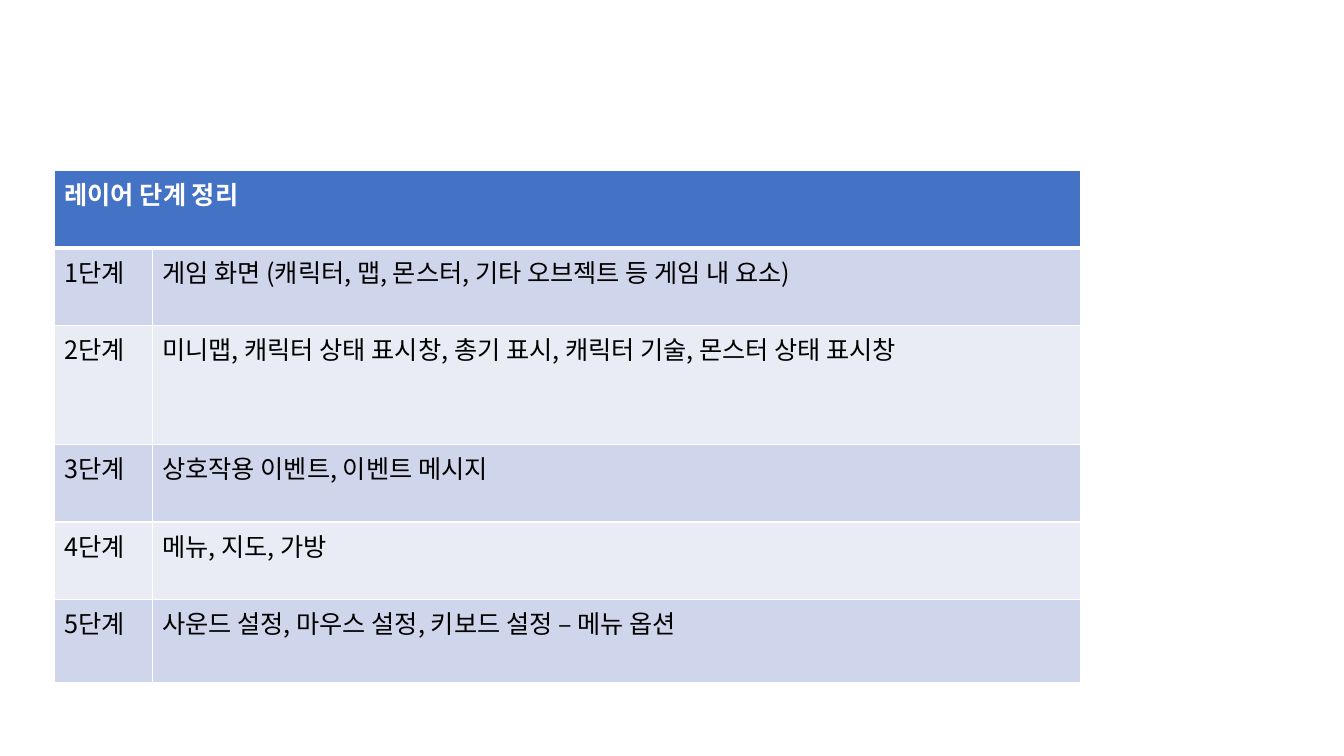
from dataclasses import dataclass

from lxml import etree
from pptx import Presentation
from pptx.dml.color import RGBColor
from pptx.oxml.ns import qn
from pptx.util import Inches, Pt

BLANK_LAYOUT = 6


@dataclass(frozen=True)
class Theme:
    font: str = "Noto Sans CJK KR"
    size: int = 18
    header_fill: str = "4472C4"
    header_text: str = "FFFFFF"
    bands: tuple = ("CFD5EA", "E9EBF5")
    text: str = "000000"
    border: str = "FFFFFF"
    thin: int = 1
    thick: int = 3


THEME = Theme()
HEADING = "레이어 단계 정리"
LAYERS = [
    "게임 화면 (캐릭터, 맵, 몬스터, 기타 오브젝트 등 게임 내 요소)",
    "미니맵, 캐릭터 상태 표시창, 총기 표시, 캐릭터 기술, 몬스터 상태 표시창",
    "상호작용 이벤트, 이벤트 메시지",
    "메뉴, 지도, 가방",
    "사운드 설정, 마우스 설정, 키보드 설정 – 메뉴 옵션",
]
TABLE_BOX = (0.54, 1.69, 10.18, 5.08)
STAGE_WIDTH = 0.97
ROW_HEIGHT = 0.77
TALL_ROWS = {2: 1.18, 5: 0.82}


def set_borders(cell, top, bottom):
    properties = cell._tc.get_or_add_tcPr()
    widths = {"L": THEME.thin, "R": THEME.thin, "T": top, "B": bottom}
    for position, (side, width) in enumerate(widths.items()):
        line = etree.Element(qn(f"a:ln{side}"), w=str(Pt(width)))
        line_fill = etree.SubElement(line, qn("a:solidFill"))
        etree.SubElement(line_fill, qn("a:srgbClr"), val=THEME.border)
        properties.insert(position, line)


def fill_cell(cell, words, fill, color, bold=False):
    cell.fill.solid()
    cell.fill.fore_color.rgb = RGBColor.from_string(fill)
    run = cell.text_frame.paragraphs[0].add_run()
    run.text = words
    run.font.name = THEME.font
    run.font.size = Pt(THEME.size)
    run.font.bold = bold
    run.font.color.rgb = RGBColor.from_string(color)
    etree.SubElement(run.font._element, qn("a:ea"), typeface=THEME.font)


def add_layer_table(slide, box):
    left, top, width, height = map(Inches, box)
    table = slide.shapes.add_table(len(LAYERS) + 1, 2, left, top, width, height).table
    table.columns[0].width = Inches(STAGE_WIDTH)
    table.columns[1].width = width - Inches(STAGE_WIDTH)
    for number, row in enumerate(table.rows):
        row.height = Inches(TALL_ROWS.get(number, ROW_HEIGHT))
        for cell in row.cells:
            set_borders(
                cell,
                THEME.thick if number == 1 else THEME.thin,
                THEME.thick if number == 0 else THEME.thin,
            )

    heading = table.cell(0, 0)
    heading.merge(table.cell(0, 1))
    fill_cell(heading, HEADING, THEME.header_fill, THEME.header_text, bold=True)
    for stage, contents in enumerate(LAYERS, start=1):
        band = THEME.bands[(stage - 1) % len(THEME.bands)]
        for column, words in enumerate((f"{stage}단계", contents)):
            fill_cell(table.cell(stage, column), words, band, THEME.text)


def main():
    presentation = Presentation()
    presentation.slide_width = Inches(13.33)
    presentation.slide_height = Inches(7.5)
    slide = presentation.slides.add_slide(presentation.slide_layouts[BLANK_LAYOUT])
    add_layer_table(slide, TABLE_BOX)
    presentation.save("out.pptx")


if __name__ == "__main__":
    main()
